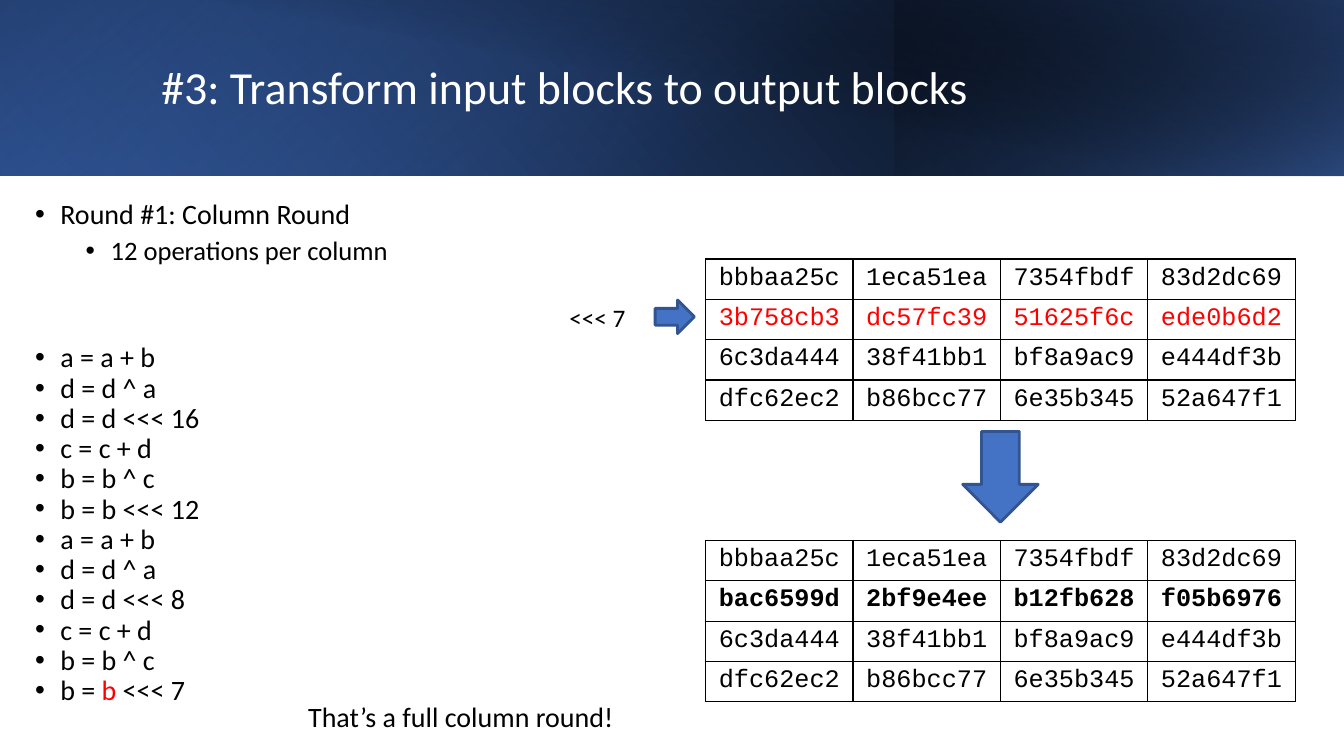
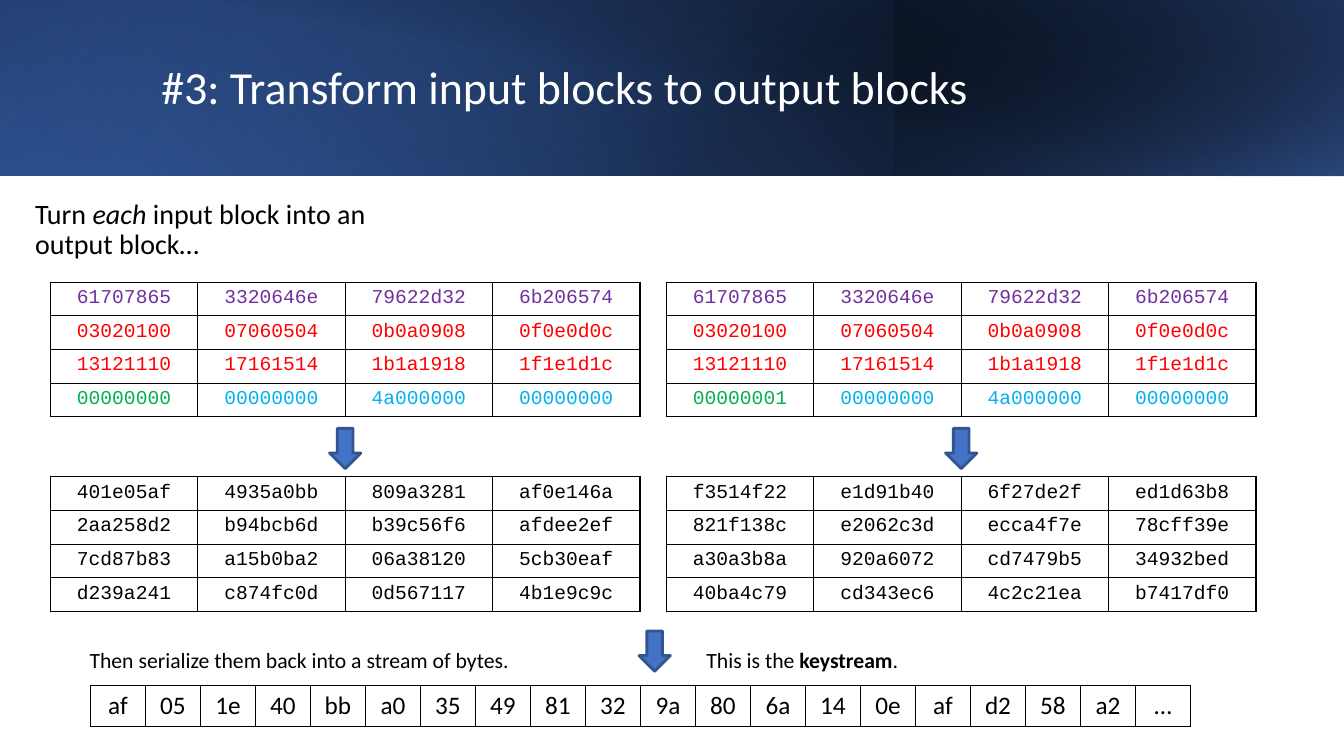
from lxml.etree import SubElement
from pptx import Presentation
from pptx.dml.color import RGBColor
from pptx.enum.shapes import MSO_SHAPE
from pptx.enum.text import MSO_ANCHOR, MSO_AUTO_SIZE, PP_ALIGN
from pptx.oxml import parse_xml
from pptx.oxml.ns import nsdecls, qn
from pptx.util import Pt

BLACK, WHITE, RED = "000000", "FFFFFF", "FF0000"
PURPLE, GREEN, CYAN = "7030A0", "00B050", "00B0F0"
BLUE, ARROW_EDGE, NAVY = "4472C4", "325491", "203864"
BODY_FONT, CODE_FONT = "Calibri", "Courier New"
TITLE = "#3: Transform input blocks to output blocks"
SLIDE_WIDTH, SLIDE_HEIGHT, BAND_HEIGHT = 960, 540, 125.3
BAND_SPLIT = 638.7
GRID_COLUMN = 105.3
BANDS = [
    ((0, 0, SLIDE_WIDTH, BAND_HEIGHT), 0, True, 40,
     [(0, BLACK, 100), (100, "2F5597", 100)]),
    ((0, 0, BAND_SPLIT, BAND_HEIGHT), 180, True, 130,
     [(20, BLUE, 0), (100, NAVY, 55)]),
    ((BAND_SPLIT, 0, SLIDE_WIDTH - BAND_SPLIT, BAND_HEIGHT), 0, True, 320,
     [(0, BLUE, 66), (100, BLACK, 30)]),
    ((36, 0, SLIDE_WIDTH - 36, 126), 0, False, 280,
     [(50, BLACK, 0), (100, NAVY, 52)]),
]

ROUND_INPUT = [
    "bbbaa25c 1eca51ea 7354fbdf 83d2dc69",
    "3b758cb3 dc57fc39 51625f6c ede0b6d2",
    "6c3da444 38f41bb1 bf8a9ac9 e444df3b",
    "dfc62ec2 b86bcc77 6e35b345 52a647f1",
]
ROTATED_ROW = 1
ROUND_OUTPUT = list(ROUND_INPUT)
ROUND_OUTPUT[ROTATED_ROW] = "bac6599d 2bf9e4ee b12fb628 f05b6976"
OPERATIONS = [
    "a = a + b", "d = d ^ a", "d = d <<< 16",
    "c = c + d", "b = b ^ c", "b = b <<< 12",
    "a = a + b", "d = d ^ a", "d = d <<< 8",
    "c = c + d", "b = b ^ c",
]
INPUT_BLOCK = [
    "61707865 3320646e 79622d32 6b206574",
    "03020100 07060504 0b0a0908 0f0e0d0c",
    "13121110 17161514 1b1a1918 1f1e1d1c",
]
INPUT_COLOURS = [[PURPLE] * 4, [RED] * 4, [RED] * 4, [GREEN] + [CYAN] * 3]
OUTPUT_BLOCKS = [
    ["401e05af 4935a0bb 809a3281 af0e146a",
     "2aa258d2 b94bcb6d b39c56f6 afdee2ef",
     "7cd87b83 a15b0ba2 06a38120 5cb30eaf",
     "d239a241 c874fc0d 0d567117 4b1e9c9c"],
    ["f3514f22 e1d91b40 6f27de2f ed1d63b8",
     "821f138c e2062c3d ecca4f7e 78cff39e",
     "a30a3b8a 920a6072 cd7479b5 34932bed",
     "40ba4c79 cd343ec6 4c2c21ea b7417df0"],
]
KEYSTREAM = ["af 05 1e 40 bb a0 35 49 81 32 9a 80 6a 14 0e af d2 58 a2 …"]


def colour(hex_code):
    return RGBColor.from_string(hex_code)


def points(*lengths):
    return [Pt(length) for length in lengths]


def add_run(paragraph, text, size, hex_code=BLACK, font=BODY_FONT,
            bold=False, italic=False):
    run = paragraph.add_run()
    run.text = text
    run.font.name = font
    run.font.size = Pt(size)
    run.font.bold = bold
    run.font.italic = italic
    run.font.color.rgb = colour(hex_code)


def add_band(slide, box, rotation, flipped, angle, stops):
    band = slide.shapes.add_shape(MSO_SHAPE.RECTANGLE, *points(*box))
    band.shadow.inherit = False
    band.line.fill.background()
    band.rotation = rotation
    properties = band.element.spPr
    if flipped:
        properties.find(qn("a:xfrm")).set("flipH", "1")
    stop_xml = "".join(
        f'<a:gs pos="{position * 1000}"><a:srgbClr val="{hex_code}">'
        f'<a:alpha val="{opacity * 1000}"/></a:srgbClr></a:gs>'
        for position, hex_code, opacity in stops)
    properties.find(qn("a:prstGeom")).addnext(parse_xml(
        f'<a:gradFill {nsdecls("a")} rotWithShape="1"><a:gsLst>{stop_xml}'
        f'</a:gsLst><a:lin ang="{angle * 60000}" scaled="0"/></a:gradFill>'))


def add_titled_slide(deck):
    slide = deck.slides.add_slide(deck.slide_layouts[5])
    for band in BANDS:
        add_band(slide, *band)
    title = slide.shapes.title
    title.element.getparent().append(title.element)
    title.left, title.top, title.width, title.height = points(108, 23, 779, 81.4)
    frame = title.text_frame
    frame.auto_size = MSO_AUTO_SIZE.NONE
    frame.word_wrap = True
    frame.vertical_anchor = MSO_ANCHOR.MIDDLE
    paragraph = frame.paragraphs[0]
    paragraph.alignment = PP_ALIGN.LEFT
    paragraph.line_spacing = 0.9
    add_run(paragraph, TITLE, 32.8, WHITE)
    return slide


def add_bullet(paragraph, level):
    properties = paragraph._p.get_or_add_pPr()
    properties.set("marL", str(Pt(18 + 36 * level)))
    properties.set("indent", str(Pt(-18)))
    bullet_colour = SubElement(properties, qn("a:buClr"))
    SubElement(bullet_colour, qn("a:srgbClr"), val=BLACK)
    SubElement(properties, qn("a:buFont"), typeface="Arial")
    SubElement(properties, qn("a:buChar"), char="•")
    paragraph.level = level


def add_text(slide, box, paragraphs, size, bullet_levels=None, gap=0,
             wrap=True, line_spacing=0.9):
    frame = slide.shapes.add_textbox(*points(*box)).text_frame
    frame.word_wrap = wrap
    for index, runs in enumerate(paragraphs):
        paragraph = frame.add_paragraph() if index else frame.paragraphs[0]
        if bullet_levels:
            add_bullet(paragraph, bullet_levels[index])
        paragraph.line_spacing = line_spacing
        paragraph.space_before = Pt(gap if index else 0)
        for text, style in runs:
            add_run(paragraph, text, **{"size": size, **style})


def add_borders(cell):
    properties = cell._tc.get_or_add_tcPr()
    for index, side in enumerate(("lnL", "lnR", "lnT", "lnB")):
        properties.insert(index, parse_xml(
            f'<a:{side} {nsdecls("a")} w="{Pt(0.96)}"><a:solidFill>'
            f'<a:srgbClr val="{BLACK}"/></a:solidFill></a:{side}>'))


def add_grid(slide, left, top, column_width, row_height, lines, size,
             font=CODE_FONT, colours=None, bold_row=None):
    rows = [line.split() for line in lines]
    columns = len(rows[0])
    grid = slide.shapes.add_table(
        len(rows), columns, *points(left, top, column_width * columns,
                                    row_height * len(rows))).table
    grid.first_row = grid.horz_banding = False
    for column in grid.columns:
        column.width = Pt(column_width)
    for row_index, words in enumerate(rows):
        grid.rows[row_index].height = Pt(row_height)
        for column_index, word in enumerate(words):
            cell = grid.cell(row_index, column_index)
            cell.fill.background()
            add_borders(cell)
            paragraph = cell.text_frame.paragraphs[0]
            paragraph.alignment = PP_ALIGN.CENTER
            hex_code = colours[row_index][column_index] if colours else BLACK
            add_run(paragraph, word, size, hex_code, font,
                    bold=row_index == bold_row)


def add_block_arrow(slide, kind, *box):
    arrow = slide.shapes.add_shape(kind, *points(*box))
    arrow.shadow.inherit = False
    arrow.fill.solid()
    arrow.fill.fore_color.rgb = colour(BLUE)
    arrow.line.color.rgb = colour(ARROW_EDGE)
    arrow.line.width = Pt(2)


def add_small_down_arrow(slide, center, top):
    width = 22.4
    add_block_arrow(slide, MSO_SHAPE.DOWN_ARROW, center - width / 2, top, width, 28.8)


def build_column_round(deck):
    slide = add_titled_slide(deck)
    add_text(slide, (18, 139.7, 389.5, 90.7),
             [[("Round #1: Column Round", {})],
              [("12 operations per column", {"size": 19})]],
             20, bullet_levels=[0, 1], gap=5)
    steps = [[(operation, {})] for operation in OPERATIONS]
    steps.append([("b = ", {}), ("b", {"hex_code": RED}), (" <<< 7", {})])
    add_text(slide, (18, 242, 389.5, 288), steps, 20,
             bullet_levels=[0] * len(steps))
    input_colours = [[RED if row == ROTATED_ROW else BLACK] * 4 for row in range(4)]
    add_grid(slide, 504, 185, GRID_COLUMN, 28.8, ROUND_INPUT, 18,
             colours=input_colours)
    add_grid(slide, 504, 386, GRID_COLUMN, 28.8, ROUND_OUTPUT, 18,
             bold_row=ROTATED_ROW)
    add_block_arrow(slide, MSO_SHAPE.DOWN_ARROW, 687.6, 308.2, 54, 64.8)
    add_block_arrow(slide, MSO_SHAPE.RIGHT_ARROW, 468, 214.3, 28, 24)
    add_text(slide, (399.6, 212.4, 76.3, 29), [[("<<< 7", {})]], 18,
             wrap=False, line_spacing=1)
    add_text(slide, (213, 499, 288.7, 28.8),
             [[("That’s a full column round!", {})]], 20)


def build_keystream(deck):
    slide = add_titled_slide(deck)
    add_text(slide, (18, 139.7, 299.5, 56),
             [[("Turn ", {}), ("each", {"italic": True}),
               (" input block into an output block…", {})]], 20)
    for counter, output_block in enumerate(OUTPUT_BLOCKS):
        left = 36 + 440 * counter
        input_block = INPUT_BLOCK + [f"{counter:08d} 00000000 4a000000 00000000"]
        add_grid(slide, left, 201.6, GRID_COLUMN, 24, input_block, 14,
                 colours=INPUT_COLOURS)
        add_small_down_arrow(slide, left + 2 * GRID_COLUMN, 306)
        add_grid(slide, left, 340.6, GRID_COLUMN, 24, output_block, 14)
    add_grid(slide, 64.6, 489.6, 39.3, 29.2, KEYSTREAM, 18, font=BODY_FONT)
    add_small_down_arrow(slide, 467.7, 450.7)
    add_text(slide, (56.9, 460.8, 381.6, 29.5),
             [[("Then serialize them back into a stream of bytes.", {})]], 15.5)
    add_text(slide, (497.5, 460.8, 194.4, 29.5),
             [[("This is the ", {}), ("keystream", {"bold": True}), (".", {})]], 15.5)


def main():
    deck = Presentation()
    deck.slide_width, deck.slide_height = points(SLIDE_WIDTH, SLIDE_HEIGHT)
    build_column_round(deck)
    build_keystream(deck)
    deck.save("out.pptx")


if __name__ == "__main__":
    main()
